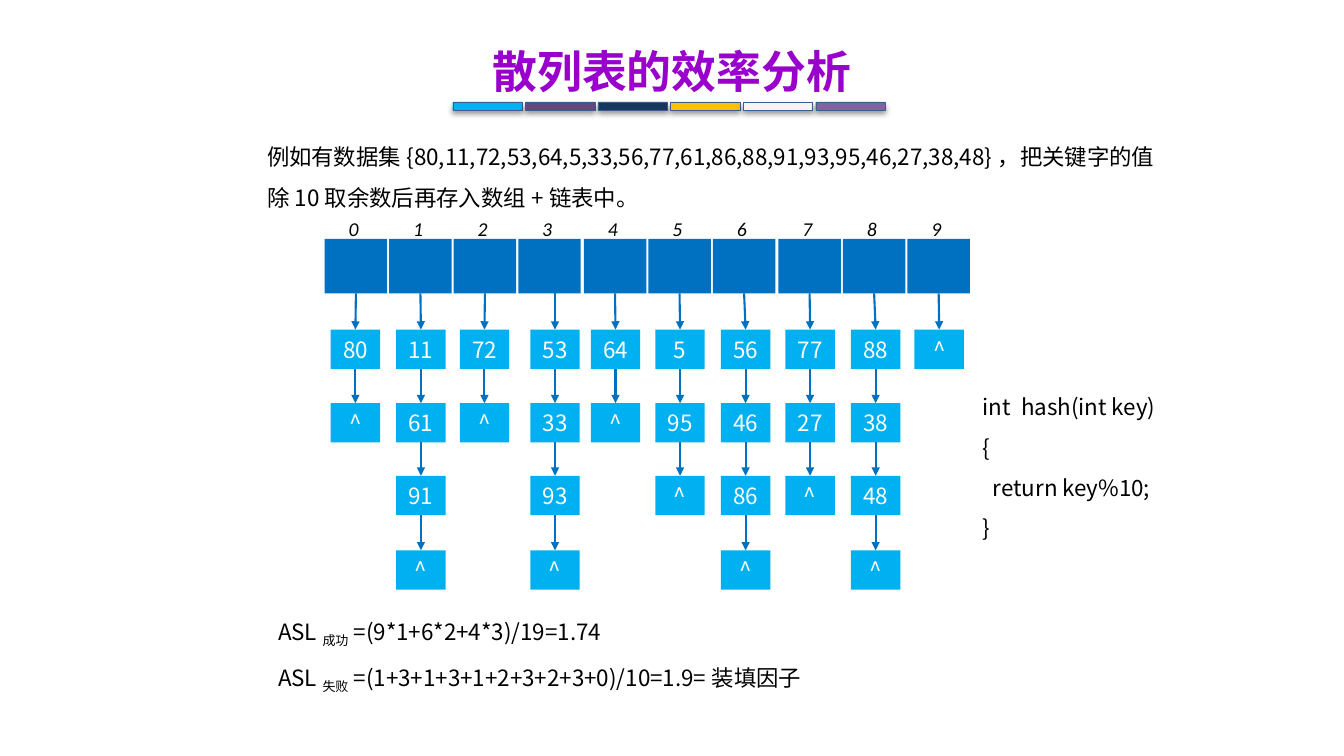
import pptx
import pptx.util
import pptx.dml.color
import pptx.enum.shapes
import pptx.enum.text
import pptx.oxml
import pptx.oxml.ns

RGBColor = pptx.dml.color.RGBColor
RECTANGLE = pptx.enum.shapes.MSO_SHAPE.RECTANGLE
STRAIGHT = pptx.enum.shapes.MSO_CONNECTOR.STRAIGHT
CENTER = pptx.enum.text.PP_ALIGN.CENTER
PX = 9144  # EMU per px, 100 px to the inch

PURPLE = RGBColor(0x99, 0x00, 0xCC)
BLACK = RGBColor(0x00, 0x00, 0x00)
WHITE = RGBColor(0xFF, 0xFF, 0xFF)
BUCKET_BLUE = RGBColor(0x00, 0x70, 0xC0)
NODE_BLUE = RGBColor(0x00, 0xB0, 0xF0)
BAR_OUTLINE = RGBColor(0x3A, 0x5F, 0x8C)
BAR_COLOURS = [
    NODE_BLUE,
    RGBColor(0x60, 0x4A, 0x7B),
    RGBColor(0x17, 0x37, 0x5E),
    RGBColor(0xFF, 0xC0, 0x00),
    RGBColor(0xF5, 0xF4, 0xED),
    RGBColor(0x80, 0x64, 0xA2),
]
CJK_FONT = "Noto Sans CJK SC"
DRAWING_NS = pptx.oxml.ns.nsdecls("a")
BAR_SHADOW = (
    f'<a:effectLst {DRAWING_NS}><a:outerShdw blurRad="50800" dist="38100" dir="5400000"'
    ' algn="t" rotWithShape="0"><a:srgbClr val="000000"><a:alpha val="40000"/></a:srgbClr>'
    "</a:outerShdw></a:effectLst>"
)

presentation = pptx.Presentation()
presentation.slide_width = 1333 * PX
presentation.slide_height = 750 * PX
slide = presentation.slides.add_slide(presentation.slide_layouts[6])
shapes = slide.shapes


def add_text(left, top, width, height, text, size=16, colour=BLACK, font=CJK_FONT, spacing=1.5):
    box = shapes.add_textbox(left * PX, top * PX, width * PX, height * PX)
    frame = box.text_frame
    frame.word_wrap = True
    frame.auto_size = pptx.enum.text.MSO_AUTO_SIZE.SHAPE_TO_FIT_TEXT
    frame.text = text
    for paragraph in frame.paragraphs:
        paragraph.line_spacing = spacing
        for run in paragraph.runs:
            run.font.size = pptx.util.Pt(size)
            run.font.color.rgb = colour
            run.font.name = font
            run.font._element.append(
                pptx.oxml.parse_xml(f'<a:ea {DRAWING_NS} typeface="{font}"/>'))
    return frame


def add_block(left, top, width, height, fill):
    block = shapes.add_shape(RECTANGLE, left * PX, top * PX, width * PX, height * PX)
    block.fill.solid()
    block.fill.fore_color.rgb = fill
    block.line.fill.background()
    block.shadow.inherit = False
    return block


# Title and the coloured bar below it
title = add_text(0, 12, 1333, 91, "散列表的效率分析", size=32, colour=PURPLE)
title.paragraphs[0].alignment = CENTER
title.paragraphs[0].runs[0].font.bold = True

for position, colour in enumerate(BAR_COLOURS):
    bar = add_block(449 + 72 * position, 101, 69, 8, colour)
    bar.line.color.rgb = BAR_OUTLINE
    bar.line.width = pptx.util.Pt(0.25)
    properties = bar._element.spPr
    properties.replace(properties.find(pptx.oxml.ns.qn("a:effectLst")),
                       pptx.oxml.parse_xml(BAR_SHADOW))

add_text(255, 124, 901, 91,
         "例如有数据集{80,11,72,53,64,5,33,56,77,61,86,88,91,93,95,46,27,38,48}，"
         "把关键字的值除10取余数后再存入数组+链表中。")

# Hash table: left edge of each chain and its keys, ended by the null mark
CHAINS = [
    (328, "80 ^"),
    (393, "11 61 91 ^"),
    (456, "72 ^"),
    (526, "53 33 93 ^"),
    (586, "64 ^"),
    (650, "5 95 ^"),
    (715, "56 46 86 ^"),
    (779, "77 27 ^"),
    (844, "88 38 48 ^"),
    (907, "^"),
]
NODE_TOPS = [327, 400, 472, 546]
NODE_WIDTH, NODE_HEIGHT = 49, 39
BUCKET_TOP, BUCKET_HEIGHT = 237, 54
OFFSET_CHAIN = 3  # its chain hangs beside the middle of its bucket

for index, (chain_left, keys) in enumerate(CHAINS):
    offset = 643 * index // 10
    bucket = add_block(322 + offset, BUCKET_TOP, 62, BUCKET_HEIGHT, BUCKET_BLUE)
    label = add_text(336 + offset, 210, 30, 34, str(index),
                     size=14, font="Calibri", spacing=1.0)
    label.word_wrap = False
    label.paragraphs[0].runs[0].font.italic = True

    previous = bucket
    for key, node_top in zip(keys.split(), NODE_TOPS):
        node = add_block(chain_left, node_top, NODE_WIDTH, NODE_HEIGHT, NODE_BLUE)
        node.text_frame.text = key
        node.text_frame.vertical_anchor = pptx.enum.text.MSO_ANCHOR.MIDDLE
        node.text_frame.paragraphs[0].alignment = CENTER
        key_font = node.text_frame.paragraphs[0].runs[0].font
        key_font.size = pptx.util.Pt(16)
        key_font.name = CJK_FONT
        key_font.color.rgb = WHITE

        middle = node.left + node.width // 2
        arrow = shapes.add_connector(STRAIGHT, middle, previous.top + previous.height,
                                     middle, node.top)
        if previous is not bucket or index != OFFSET_CHAIN:
            arrow.begin_connect(previous, 2)
        arrow.end_connect(node, 0)
        arrow.line.color.rgb = BUCKET_BLUE
        arrow.line.width = pptx.util.Pt(1.5)
        arrow.line._get_or_add_ln().append(
            pptx.oxml.parse_xml(f'<a:tailEnd {DRAWING_NS} type="triangle"/>'))
        arrow._element.spPr.append(pptx.oxml.parse_xml(f"<a:effectLst {DRAWING_NS}/>"))
        previous = node

# Average search lengths
search_lengths = add_text(266, 593, 901, 91, "ASL\nASL")
RESULTS = [
    ("成功", "=(9*1+6*2+4*3)/19=1.74"),
    ("失败", "=(1+3+1+3+1+2+3+2+3+0)/10=1.9=装填因子"),
]
for paragraph, (outcome, formula) in zip(search_lengths.paragraphs, RESULTS):
    for text, baseline in ((outcome, "-25000"), (formula, "0")):
        run = paragraph.add_run()
        run.text = text
        run.font.size = pptx.util.Pt(16)
        run.font.color.rgb = BLACK
        run.font.name = CJK_FONT
        run.font._element.set("baseline", baseline)
        run.font._element.append(
            pptx.oxml.parse_xml(f'<a:ea {DRAWING_NS} typeface="{CJK_FONT}"/>'))

# Hash function
add_text(965, 372, 234, 172, "int  hash(int key)\n{\n  return key%10;\n}")

presentation.save("out.pptx")
